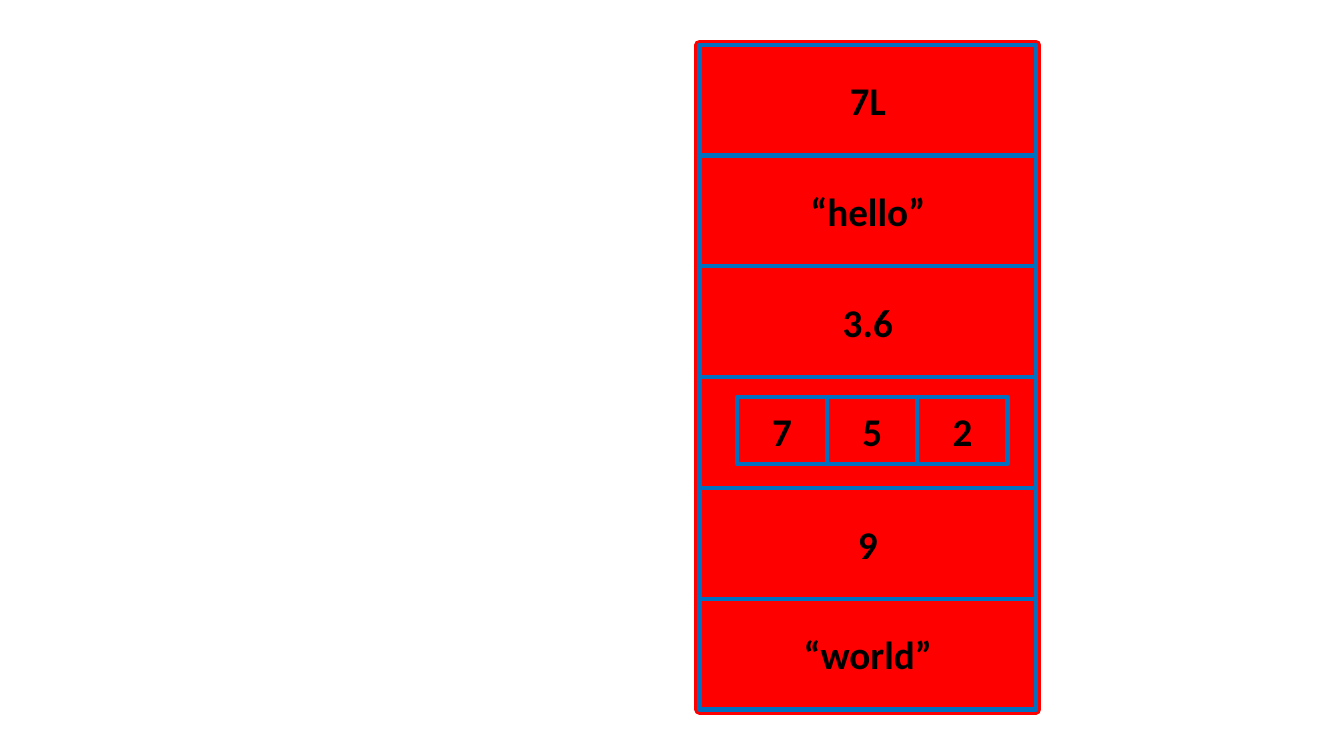
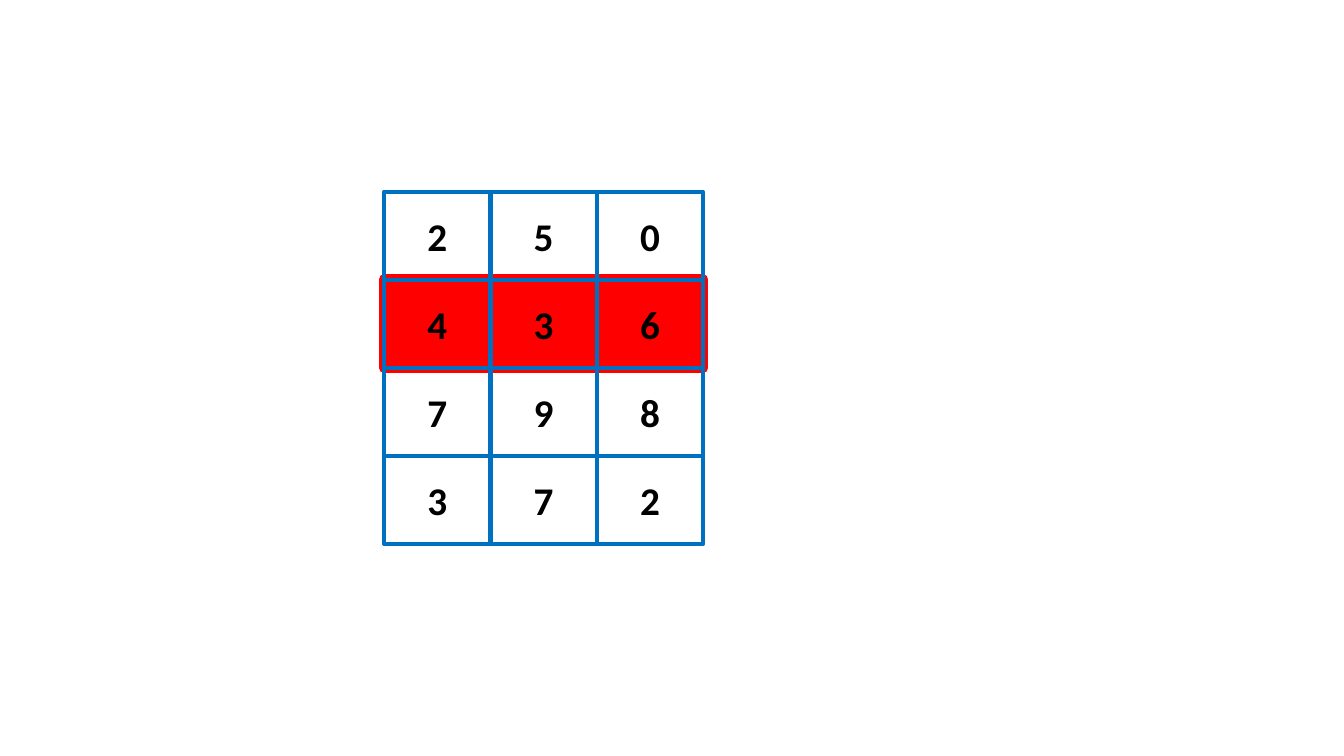
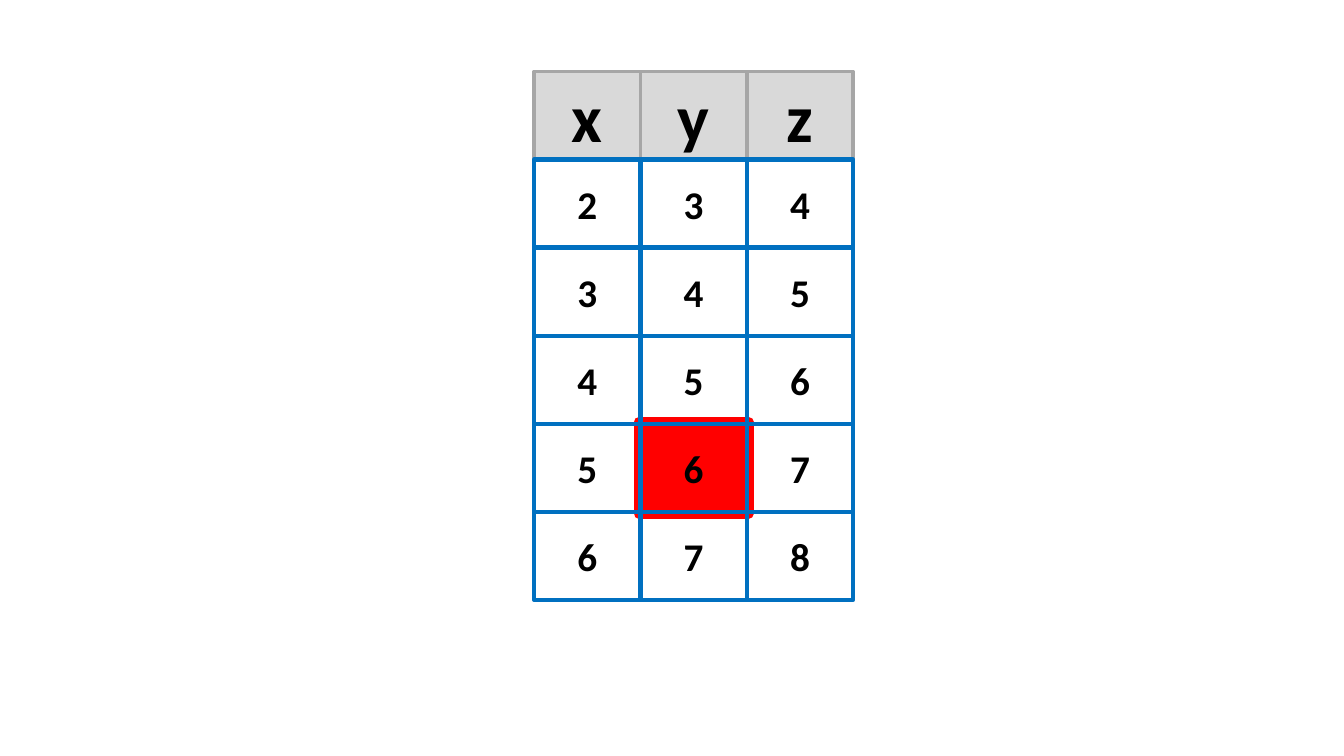
from pptx import Presentation
from pptx.dml.color import RGBColor
from pptx.enum.shapes import MSO_SHAPE
from pptx.enum.text import MSO_ANCHOR, PP_ALIGN
from pptx.util import Cm, Pt

RECT = MSO_SHAPE.RECTANGLE
MIDDLE = MSO_ANCHOR.MIDDLE
CENTER = PP_ALIGN.CENTER
BLANK = 6

# Shared styles
RED, BLACK = "FF0000", "000000"
FONT = {"name": "Calibri", "bold": True}
CELL = {"fill": None, "line": "0070C0", "weight": 3, "size": 28}
HEADER = {"fill": "D9D9D9", "line": "A6A6A6", "weight": 2.5, "size": 48}
MARK = {"fill": RED, "line": RED, "weight": 7.5, "size": 28}
CELL_W, CELL_H = 2.68, 2.22


def color(value):
    return RGBColor.from_string(value)


def add_box(shapes, box, style, text=""):
    """Draw one rectangle, with centred text if there is any."""
    sp = shapes.add_shape(RECT, *(Cm(v) for v in box))
    sp.shadow.inherit = False
    if style["fill"]:
        sp.fill.solid()
        sp.fill.fore_color.rgb = color(style["fill"])
    else:
        sp.fill.background()
    sp.line.color.rgb = color(style["line"])
    sp.line.width = Pt(style["weight"])
    if text:
        tf = sp.text_frame
        tf.vertical_anchor = MIDDLE
        p = tf.paragraphs[0]
        p.alignment = CENTER
        r = p.add_run()
        r.text = text
        for name, value in {**FONT, "size": Pt(style["size"])}.items():
            setattr(r.font, name, value)
        r.font.color.rgb = color(BLACK)


def add_grid(s, box, rows, header=False):
    """Divide the box evenly into cells, one group for each row."""
    left, top, width, height = box
    h = height / len(rows)
    for i, row in enumerate(rows):
        w = width / len(row)
        style = HEADER if header and i == 0 else CELL
        group = s.shapes.add_group_shape()
        for j, text in enumerate(row):
            add_box(group.shapes, (left + j * w, top + i * h, w, h), style, text)


def list_slide(s, box):
    """A list of six items, the fourth holding a vector."""
    left, top, width, height = box
    add_box(s.shapes, box, MARK)
    items = ["7L", "“hello”", "3.6", "", "9", "“world”"]
    add_grid(s, box, [[item] for item in items])
    # Vector inside the fourth item
    add_grid(s, (left + 0.94, top + height / 2 + 0.5, 6.82, 1.68), [["7", "5", "2"]])


def matrix_slide(s, box):
    """A matrix with its second row marked."""
    left, top, width, height = box
    rows = ["250", "436", "798", "372"]
    h = height / len(rows)
    add_box(s.shapes, (left, top + h, width, h), MARK)
    add_grid(s, box, rows)


def data_frame_slide(s, box):
    """Named columns with one cell marked."""
    left, top, width, height = box
    rows = ["xyz"] + [[str(n + k) for k in range(3)] for n in range(2, 7)]
    w, h = width / 3, height / len(rows)
    pad = 0.04
    marked = (left + w - pad, top + 4 * h - pad, w + 2 * pad, h + 2 * pad)
    add_box(s.shapes, marked, MARK)
    add_grid(s, box, rows, header=True)


def main():
    prs = Presentation()
    prs.slide_width, prs.slide_height = Cm(33.87), Cm(19.05)
    slides = [
        (list_slide, (17.63, 1.13, 8.48, 16.75)),
        (matrix_slide, (9.68, 4.83, 3 * CELL_W, 4 * CELL_H)),
        (data_frame_slide, (13.46, 1.8, 3 * CELL_W, 6 * CELL_H)),
    ]
    for build, box in slides:
        build(prs.slides.add_slide(prs.slide_layouts[BLANK]), box)
    prs.save("out.pptx")


if __name__ == "__main__":
    main()
